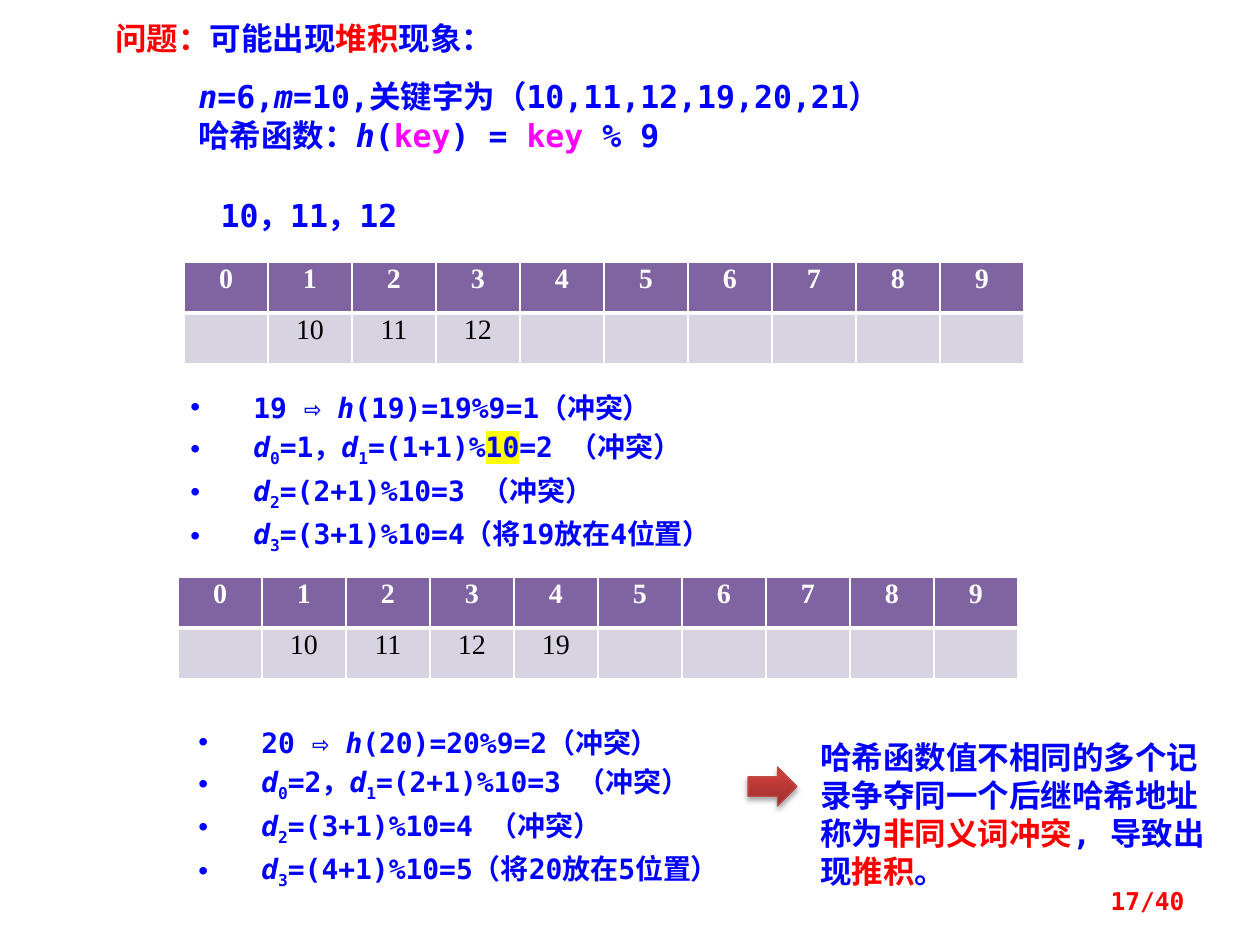
from lxml.etree import SubElement
from pptx import Presentation
from pptx.dml.color import RGBColor
from pptx.enum.shapes import MSO_SHAPE as Shape
from pptx.enum.text import MSO_ANCHOR as Anchor, PP_ALIGN as Align
from pptx.oxml import parse_xml
from pptx.oxml.ns import nsdecls, qn
from pptx.util import Pt

PX = 914400 / 126
MONO, CJK, SERIF = "DejaVu Sans Mono", "Noto Sans CJK SC", "Times New Roman"
BLUE, RED, PINK, WHITE, BLACK = "0000FF", "FF0000", "FF00FF", "FFFFFF", "000000"
HEADER, BODY = "8064A2", "D8D3E0"
ITALIC, SUB = {"italic": True}, {"sub": True}


def px(*lengths):
    return [round(length * PX) for length in lengths]


def write(frame, paragraphs, size=18, font=MONO, color=BLUE, bold=True,
          align=Align.LEFT, spacing=0.8, before=0, bullet=False):
    """Fill a text frame; a run is a string or a (string, format) pair."""
    for index, runs in enumerate(paragraphs):
        para = frame.paragraphs[0] if index == 0 else frame.add_paragraph()
        para.alignment, para.line_spacing = align, spacing
        if index:
            para.space_before = Pt(before)
        if bullet:
            props = para._p.get_or_add_pPr()
            props.set("marL", "457200")
            props.set("indent", "-457200")
            SubElement(props, qn("a:buFont"), typeface="Arial")
            SubElement(props, qn("a:buChar"), char="•")
        for item in runs:
            text, style = (item, {}) if isinstance(item, str) else item
            run = para.add_run()
            run.text = text
            run.font.size, run.font.bold = Pt(size), bold
            run.font.italic = style.get("italic", False)
            run.font.color.rgb = RGBColor.from_string(style.get("color", color))
            props = run._r.get_or_add_rPr()
            if "sub" in style:
                props.set("baseline", "-25000")
            if "highlight" in style:
                mark = SubElement(props, qn("a:highlight"))
                SubElement(mark, qn("a:srgbClr"), val=style["highlight"])
            run.font.name = font
            SubElement(props, qn("a:ea"), typeface=CJK)


prs = Presentation()
prs.slide_width, prs.slide_height = px(1260, 945)
slide = prs.slides.add_slide(prs.slide_layouts[6])
shapes = slide.shapes

# Problem statement, hash function and first keys
red, pink = {"color": RED}, {"color": PINK}
statements = [
    ((103, 20, 522, 43), [[("问题：", red), "可能出现", ("堆积", red), "现象："]], {}),
    ((186, 78, 896, 93), [
        [("n", ITALIC), "=6,", ("m", ITALIC), "=10,关键字为（10,11,12,19,20,21）"],
        ["哈希函数：", ("h", ITALIC), "(", ("key", pink), ") = ", ("key", pink), " % 9"],
    ], {"before": 5}),
    ((186, 197, 246, 43), [["10，11，12"]], {"align": Align.CENTER}),
    ((808, 732, 413, 165), [
        ["哈希函数值不相同的多个记录争夺同一个后继哈希地址称为",
         ("非同义词冲突", red), ", 导致出现", ("推积", red), "。"],
    ], {"spacing": 1.0}),
    ((903, 876, 294, 50), [["17/40"]],
     {"size": 14, "color": RED, "align": Align.RIGHT, "spacing": 1.0}),
]

# Probe sequences for the colliding keys
for key, slot, left, top, modulus in [
    (19, 1, 178, 374, ("10", {"highlight": "FFFF00"})),
    (20, 2, 186, 709, "10"),
]:
    probes = [
        [f"{key} ⇨ ", ("h", ITALIC), f"({key})={key}%9={slot}（冲突）"],
        [("d", ITALIC), ("0", SUB), f"={slot}，", ("d", ITALIC), ("1", SUB),
         f"=({slot}+1)%", modulus, f"={slot + 1} （冲突）"],
        [("d", ITALIC), ("2", SUB), f"=({slot + 1}+1)%10={slot + 2} （冲突）"],
        [("d", ITALIC), ("3", SUB),
         f"=({slot + 2}+1)%10={slot + 3}（将{key}放在{slot + 3}位置）"],
    ]
    statements.append(((left, top, 699, 186), probes,
                       {"size": 16, "spacing": Pt(25), "bullet": True}))

for place, paragraphs, style in statements:
    frame = shapes.add_textbox(*px(*place)).text_frame
    frame.word_wrap = True
    if paragraphs == [["17/40"]]:
        frame.vertical_anchor = Anchor.MIDDLE
    write(frame, paragraphs, **style)

# Hash tables before and after inserting 19
for left, top, stored in [
    (184, 262, {1: 10, 2: 11, 3: 12}),
    (178, 577, {1: 10, 2: 11, 3: 12, 4: 19}),
]:
    table = shapes.add_table(2, 10, *px(left, top, 840, 102)).table
    for column in table.columns:
        column.width = px(84)[0]
    for address in range(10):
        for row, value, fill, ink in [(0, address, HEADER, WHITE),
                                      (1, stored.get(address, ""), BODY, BLACK)]:
            cell = table.cell(row, address)
            write(cell.text_frame, [[str(value)]], size=16, font=SERIF, color=ink,
                  bold=row == 0, align=Align.CENTER)
            props = cell._tc.get_or_add_tcPr()
            for side in "LRTB":
                thick = (row, side) in [(0, "B"), (1, "T")]
                edge = SubElement(props, qn(f"a:ln{side}"), w=str(Pt(3 if thick else 1)))
                paint = SubElement(edge, qn("a:solidFill"))
                SubElement(paint, qn("a:srgbClr"), val=WHITE)
            cell.fill.solid()
            cell.fill.fore_color.rgb = RGBColor.from_string(fill)

# Arrow to the conclusion
arrow = shapes.add_shape(Shape.RIGHT_ARROW, *px(748, 767, 49, 39))
arrow.fill.gradient()
arrow.fill.gradient_angle = 90
for stop, position, color in zip(arrow.fill.gradient_stops, (0, 0.8), ("9C2F2D", "CB3E3A")):
    stop.position, stop.color.rgb = position, RGBColor.from_string(color)
arrow.line.color.rgb = RGBColor.from_string("BF4C48")
arrow.line.width = Pt(0.75)
arrow._element.spPr.append(parse_xml(
    f'<a:effectLst {nsdecls("a")}><a:outerShdw blurRad="39370" dist="22860" dir="5400000">'
    '<a:srgbClr val="000000"><a:alpha val="35000"/></a:srgbClr></a:outerShdw></a:effectLst>'))

prs.save("out.pptx")
